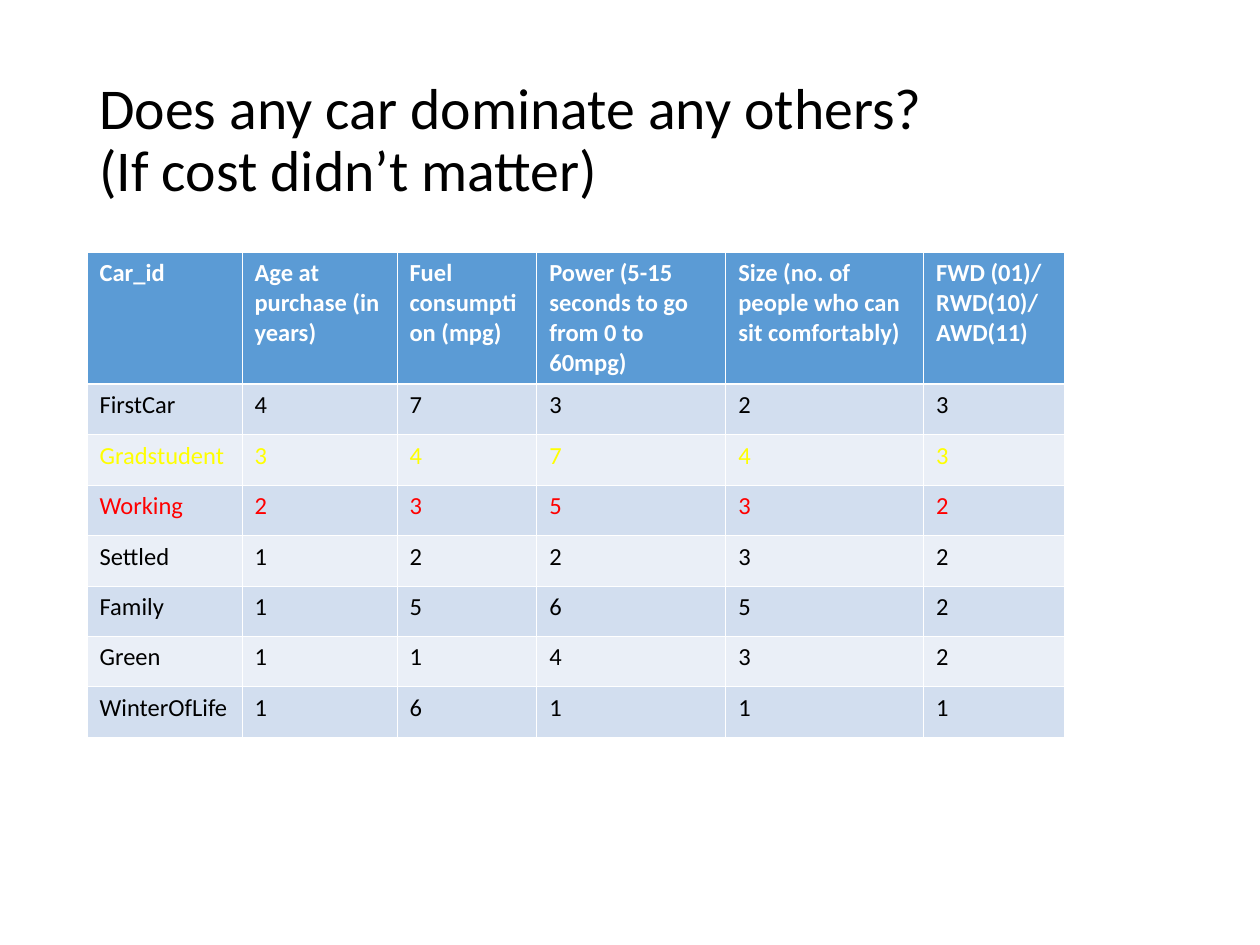
from dataclasses import dataclass

from lxml import etree
from pptx import Presentation
from pptx.dml.color import RGBColor
from pptx.enum.text import MSO_ANCHOR
from pptx.oxml.ns import qn
from pptx.util import Inches, Pt

MIDDLE = MSO_ANCHOR.MIDDLE


@dataclass(frozen=True)
class Theme:
    font: str = "Calibri"
    title: float = 33
    body: float = 14
    ink: str = "000000"
    white: str = "FFFFFF"
    head: str = "5B9BD5"
    odd: str = "D2DEEF"
    even: str = "EAEFF7"
    thin: float = 0.45
    thick: float = 1.5


THEME = Theme()
TITLE = "Does any car dominate any others? \v(If cost didn’t matter)"
WIDTHS = [1.23, 1.23, 1.11, 1.5, 1.57, 1.12]
HEAD_HEIGHT, ROW_HEIGHT = 1.05, 0.4
HEADS = [
    "Car_id",
    "Age at purchase (in years)",
    "Fuel consumption (mpg)",
    "Power (5-15 seconds to go from 0 to 60mpg)",
    "Size (no. of people who can sit comfortably)",
    "FWD (01)/ RWD(10)/ AWD(11)",
]
CARS = [
    ("FirstCar", 4, 7, 3, 2, 3),
    ("Gradstudent", 3, 4, 7, 4, 3),
    ("Working", 2, 3, 5, 3, 2),
    ("Settled", 1, 2, 2, 3, 2),
    ("Family", 1, 5, 6, 5, 2),
    ("Green", 1, 1, 4, 3, 2),
    ("WinterOfLife", 1, 6, 1, 1, 1),
]
MARKS = {"Gradstudent": "FFFF00", "Working": "FF0000"}


def put_text(frame, text, size=THEME.body, color=THEME.ink, bold=False, spacing=None):
    para = frame.paragraphs[0]
    para.text = text
    para.line_spacing = spacing
    for run in para.runs:
        run.font.name = THEME.font
        run.font.size = Pt(size)
        run.font.bold = bold
        run.font.color.rgb = RGBColor.from_string(color)


def add_title(slide):
    box = slide.shapes.add_textbox(Inches(0.69), Inches(0.4), Inches(8.63), Inches(1.45))
    frame = box.text_frame
    frame.word_wrap = True
    frame.vertical_anchor = MIDDLE
    put_text(frame, TITLE, size=THEME.title, spacing=0.9)


def set_edges(cell, top, bottom):
    """Draw white cell borders; top and bottom are widths in points."""
    props = cell._tc.get_or_add_tcPr()
    edges = {"lnL": THEME.thin, "lnR": THEME.thin, "lnT": top, "lnB": bottom}
    for tag, width in edges.items():
        line = etree.SubElement(props, qn(f"a:{tag}"), w=str(Pt(width)))
        fill = etree.SubElement(line, qn("a:solidFill"))
        etree.SubElement(fill, qn("a:srgbClr"), val=THEME.white)


def fill_row(row, values, fill, top=THEME.thin, bottom=THEME.thin, **style):
    for cell, value in zip(row.cells, values):
        set_edges(cell, top, bottom)
        cell.fill.solid()
        cell.fill.fore_color.rgb = RGBColor.from_string(fill)
        put_text(cell.text_frame, str(value), **style)


def add_grid(slide):
    height = HEAD_HEIGHT + ROW_HEIGHT * len(CARS)
    table = slide.shapes.add_table(
        len(CARS) + 1, len(HEADS),
        Inches(0.69), Inches(2), Inches(sum(WIDTHS)), Inches(height),
    ).table
    for column, width in zip(table.columns, WIDTHS):
        column.width = Inches(width)
    head, *rows = table.rows
    head.height = Inches(HEAD_HEIGHT)
    fill_row(head, HEADS, THEME.head, bottom=THEME.thick, color=THEME.white, bold=True)
    for index, (row, car) in enumerate(zip(rows, CARS)):
        row.height = Inches(ROW_HEIGHT)
        fill_row(
            row, car,
            THEME.even if index % 2 else THEME.odd,
            top=THEME.thin if index else THEME.thick,
            color=MARKS.get(car[0], THEME.ink),
        )


def main():
    deck = Presentation()
    deck.slide_width, deck.slide_height = Inches(10), Inches(7.5)
    slide = deck.slides.add_slide(deck.slide_layouts[6])
    add_title(slide)
    add_grid(slide)
    deck.save("out.pptx")


if __name__ == "__main__":
    main()
